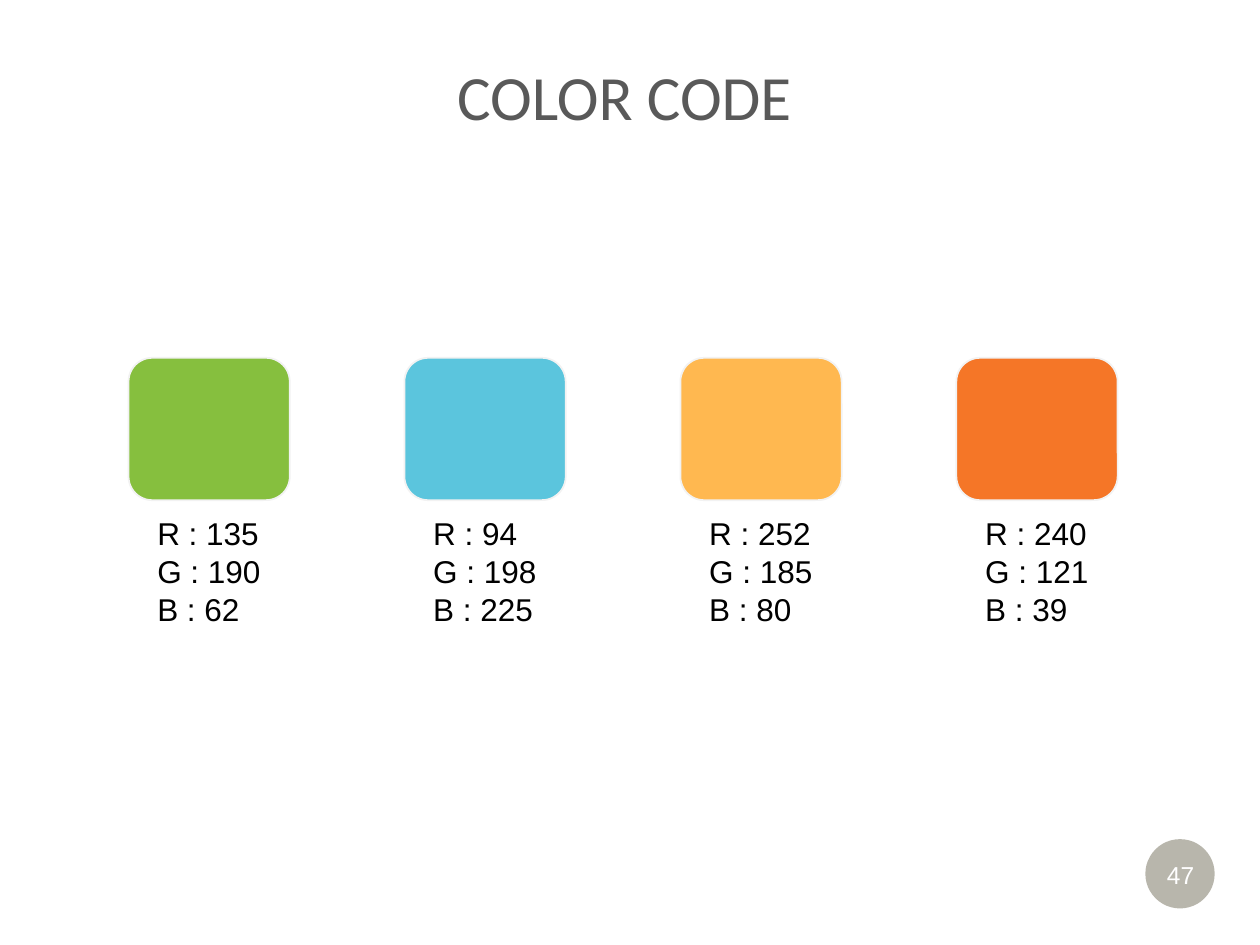
from typing import NamedTuple

from lxml.etree import SubElement
from pptx import Presentation
from pptx.dml.color import RGBColor
from pptx.enum.shapes import MSO_SHAPE
from pptx.enum.text import MSO_AUTO_SIZE, PP_ALIGN
from pptx.oxml.ns import qn
from pptx.util import Inches, Pt

WHITE = RGBColor(0xFF, 0xFF, 0xFF)
BLACK = RGBColor(0x00, 0x00, 0x00)
TITLE_GRAY = RGBColor(0x59, 0x59, 0x59)
EDGE_GRAY = RGBColor(0xF2, 0xF2, 0xF2)
BADGE_BROWN = RGBColor(0x4A, 0x45, 0x2A)
GREEN = RGBColor(0x86, 0xBF, 0x3E)
BLUE = RGBColor(0x5B, 0xC5, 0xDD)
YELLOW = RGBColor(0xFF, 0xB8, 0x50)
ORANGE = RGBColor(0xF5, 0x76, 0x27)

SWATCH_LEFT, SWATCH_PITCH = 1.02, 2.19
LABEL_INSET = 0.13


class Box(NamedTuple):
    left: float
    top: float
    width: float
    height: float


class Swatch(NamedTuple):
    fill: RGBColor
    label: tuple[int, int, int]


class TextStyle(NamedTuple):
    font: str
    size: float
    color: RGBColor
    align: PP_ALIGN = PP_ALIGN.LEFT
    wrap: bool = False


TITLE = TextStyle("Calibri", 36, TITLE_GRAY, PP_ALIGN.CENTER, True)
NUMBER = TextStyle("Arial", 14, WHITE, PP_ALIGN.CENTER)
LABEL = TextStyle("Arial", 18, BLACK)

SWATCHES = [
    Swatch(GREEN, (135, 190, 62)),
    Swatch(BLUE, (94, 198, 225)),
    Swatch(YELLOW, (252, 185, 80)),
    Swatch(ORANGE, (240, 121, 39)),
]


def add_text(shapes, box: Box, lines: list[str], style: TextStyle) -> None:
    tf = shapes.add_textbox(*map(Inches, box)).text_frame
    tf.word_wrap = style.wrap
    if not style.wrap:
        tf.auto_size = MSO_AUTO_SIZE.SHAPE_TO_FIT_TEXT
    tf.text = "\n".join(lines)
    for p in tf.paragraphs:
        p.alignment = style.align
        p.font.name = style.font
        p.font.size = Pt(style.size)
        p.font.color.rgb = style.color


def add_filled(shapes, kind: MSO_SHAPE, box: Box, color: RGBColor):
    sp = shapes.add_shape(kind, *map(Inches, box))
    sp.shadow.inherit = False
    sp.fill.solid()
    sp.fill.fore_color.rgb = color
    return sp


def add_badge(shapes, number: str) -> None:
    sp = add_filled(shapes, MSO_SHAPE.OVAL, Box(9.09, 6.66, 0.55, 0.55), BADGE_BROWN)
    sp.line.fill.background()
    # 39 % opacity
    color = sp.fill._xPr.find(qn("a:solidFill")).find(qn("a:srgbClr"))
    SubElement(color, qn("a:alpha"), val="39000")
    add_text(shapes, Box(9.15, 6.78, 0.44, 0.34), [number], NUMBER)


def add_swatch(shapes, left: float, swatch: Swatch) -> None:
    group = shapes.add_group_shape().shapes
    sp = add_filled(group, MSO_SHAPE.ROUNDED_RECTANGLE,
                    Box(left, 2.84, 1.28, 1.13), swatch.fill)
    sp.line.color.rgb = EDGE_GRAY
    sp.line.width = Pt(1)
    lines = [f"{name} : {value}" for name, value in zip("RGB", swatch.label)]
    add_text(group, Box(left + LABEL_INSET, 4.03, 1.03, 1.01), lines, LABEL)


def main() -> None:
    prs = Presentation()
    prs.slide_width, prs.slide_height = Inches(10), Inches(7.5)
    shapes = prs.slides.add_slide(prs.slide_layouts[6]).shapes

    # Page number and title
    add_badge(shapes, "47")
    add_text(shapes, Box(0.35, 0.41, 9.21, 0.71), ["COLOR CODE"], TITLE)

    # Row of colour swatches
    for i, swatch in enumerate(SWATCHES):
        add_swatch(shapes, SWATCH_LEFT + i * SWATCH_PITCH, swatch)

    prs.save("out.pptx")


if __name__ == "__main__":
    main()
